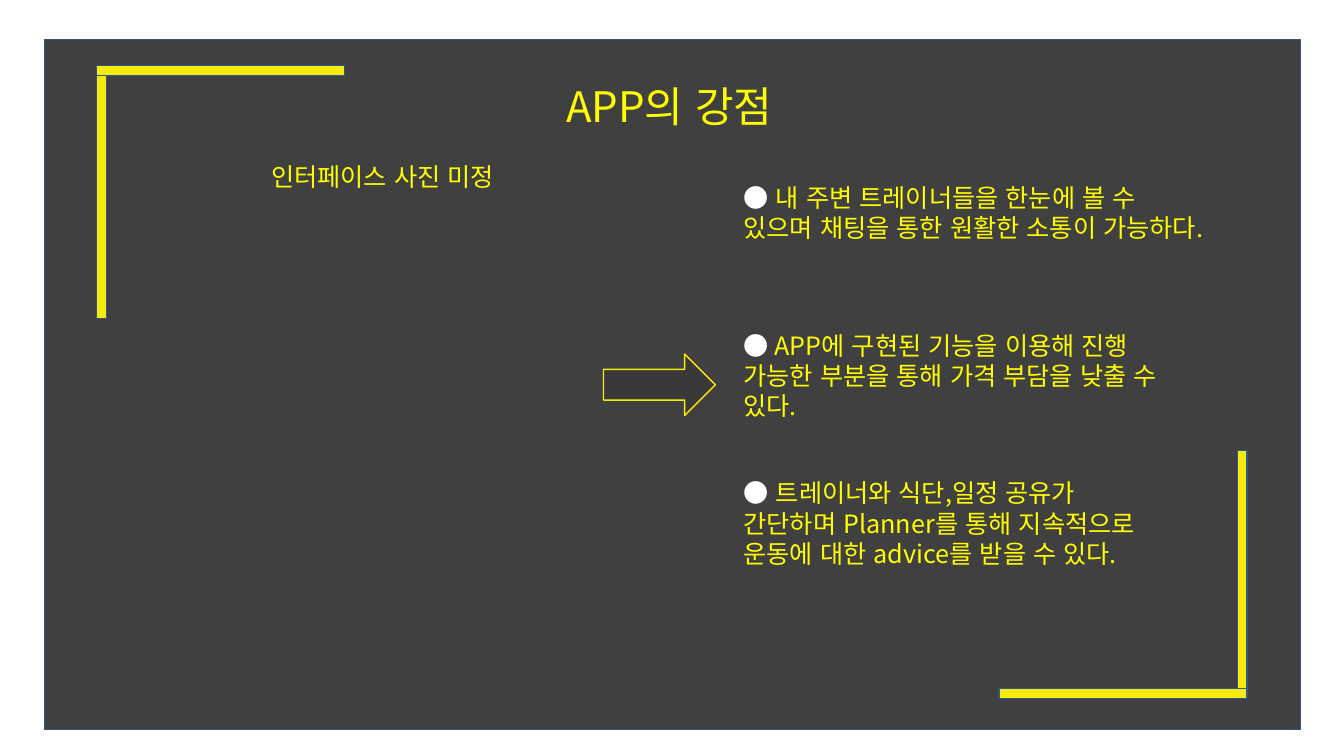
from dataclasses import dataclass

from lxml import etree
from pptx import Presentation
from pptx.dml.color import RGBColor
from pptx.enum.lang import MSO_LANGUAGE_ID
from pptx.enum.shapes import MSO_SHAPE
from pptx.enum.text import MSO_AUTO_SIZE, PP_ALIGN
from pptx.oxml.ns import qn
from pptx.util import Cm, Pt

RECTANGLE, RIGHT_ARROW = MSO_SHAPE.RECTANGLE, MSO_SHAPE.RIGHT_ARROW
LEFT, CENTER = PP_ALIGN.LEFT, PP_ALIGN.CENTER
GROW = MSO_AUTO_SIZE.SHAPE_TO_FIT_TEXT
KOREAN = MSO_LANGUAGE_ID.KOREAN

# Content
TITLE = "APP의 강점"
INTERFACE_NOTE = "인터페이스 사진 미정"
BULLET = "● "
STRENGTHS = [
    ["내 주변 트레이너들을 한눈에 볼 수 있으며 채팅을 통한 원활한 소통이 가능하다."],
    ["APP에 구현된 기능을 이용해 진행",
     "가능한 부분을 통해 가격 부담을 낮출 수 있다."],
    ["트레이너와 식단,일정 공유가",
     "간단하며 Planner를 통해 지속적으로",
     "운동에 대한 advice를 받을 수 있다."],
]


@dataclass(frozen=True)
class Theme:
    font: str = "Noto Sans CJK KR"
    title_size: int = 30
    body_size: int = 18
    line_width: int = 1
    panel: str = "404040"
    outline: str = "325491"
    accent: str = "F7EC09"
    arrow: str = "3B3838"
    text: str = "FFFF00"
    bullet: str = "FFFFFF"


THEME = Theme()

# Layout in centimetres
SLIDE_SIZE = (33.87, 19.05)
PANEL = (1.12, 0.99, 31.65, 17.4)
BAR_LENGTH, BAR_WIDTH = 6.25, 0.25
FRAME_LEFT, FRAME_TOP, FRAME_RIGHT, FRAME_BOTTOM = 2.44, 1.65, 31.43, 17.6
TITLE_BOX = (11.18, 1.91, 11.38, 1.55)
NOTE_BOX = (4.37, 3.94, 10.54, 1.02)
ARROW = (15.21, 8.92, 2.82, 1.55)
STRENGTH_LEFT, STRENGTH_TOP, STRENGTH_STEP = 18.49, 4.47, 3.72
STRENGTH_SIZE = (11.96, 2.57)


def add_block(slide, kind, box, fill, line):
    shape = slide.shapes.add_shape(kind, *map(Cm, box))
    shape.shadow.inherit = False
    shape.fill.solid()
    shape.fill.fore_color.rgb = RGBColor.from_string(fill)
    shape.line.color.rgb = RGBColor.from_string(line)
    shape.line.width = Pt(THEME.line_width)


def format_run(run, size, color):
    run.font.size = Pt(size)
    run.font.name = THEME.font
    run.font.language_id = KOREAN
    run.font.color.rgb = RGBColor.from_string(color)
    # Korean characters take the East Asian typeface
    latin = run.font._element.find(qn("a:latin"))
    east_asian = etree.Element(qn("a:ea"), typeface=THEME.font)
    latin.addnext(east_asian)


def add_text(slide, box, lines, size, alignment, bullet=""):
    text_box = slide.shapes.add_textbox(*map(Cm, box))
    text_frame = text_box.text_frame
    text_frame.word_wrap = True
    text_frame.auto_size = GROW
    for index, line in enumerate(lines):
        paragraph = text_frame.add_paragraph() if index else text_frame.paragraphs[0]
        paragraph.alignment = alignment
        if bullet and index == 0:
            bullet_run = paragraph.add_run()
            bullet_run.text = bullet
            format_run(bullet_run, size, THEME.bullet)
        run = paragraph.add_run()
        run.text = line
        format_run(run, size, THEME.text)


def main():
    presentation = Presentation()
    presentation.slide_width, presentation.slide_height = map(Cm, SLIDE_SIZE)
    slide = presentation.slides.add_slide(presentation.slide_layouts[6])

    # Panel and corner brackets, horizontal bars in front
    add_block(slide, RECTANGLE, PANEL, THEME.panel, THEME.outline)
    overlap = BAR_WIDTH / 2
    vertical, horizontal = (BAR_WIDTH, BAR_LENGTH), (BAR_LENGTH, BAR_WIDTH)
    bars = [
        (FRAME_RIGHT - BAR_WIDTH, FRAME_BOTTOM - BAR_LENGTH, *vertical),
        (FRAME_LEFT, FRAME_TOP + overlap, *vertical),
        (FRAME_RIGHT - BAR_LENGTH, FRAME_BOTTOM - BAR_WIDTH, *horizontal),
        (FRAME_LEFT, FRAME_TOP, *horizontal),
    ]
    for bar in bars:
        add_block(slide, RECTANGLE, bar, THEME.accent, THEME.outline)

    # Title, note and arrow
    add_text(slide, TITLE_BOX, [TITLE], THEME.title_size, CENTER)
    add_text(slide, NOTE_BOX, [INTERFACE_NOTE], THEME.body_size, CENTER)
    add_block(slide, RIGHT_ARROW, ARROW, THEME.arrow, THEME.accent)

    # Strengths
    for index, lines in enumerate(STRENGTHS):
        box = (STRENGTH_LEFT, STRENGTH_TOP + index * STRENGTH_STEP, *STRENGTH_SIZE)
        add_text(slide, box, lines, THEME.body_size, LEFT, BULLET)

    presentation.save("out.pptx")


if __name__ == "__main__":
    main()
